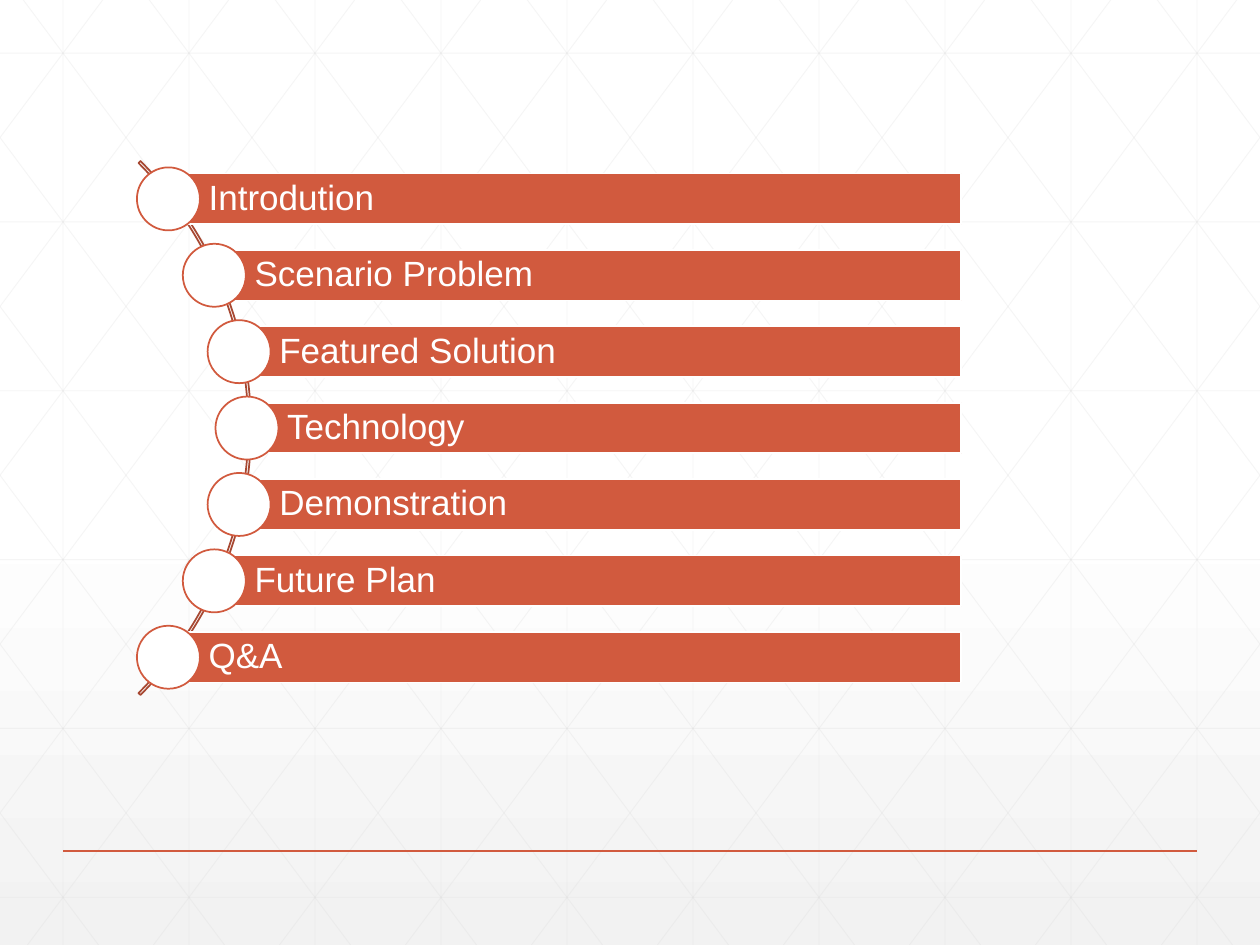
from math import sqrt

from lxml.etree import SubElement
from pptx import Presentation
from pptx.dml.color import RGBColor
from pptx.enum.shapes import MSO_CONNECTOR as Connector, MSO_SHAPE as Shape
from pptx.enum.text import MSO_ANCHOR as Anchor, PP_ALIGN as Align
from pptx.oxml.ns import qn
from pptx.util import Cm, Pt

COLORS = {
    "accent": "D15A3E",
    "arc": "A74832",
    "white": "FFFFFF",
    "shade": "F2F2F2",
    "grid": "D9D9D9",
}
WIDTH, HEIGHT = 25.4, 19.05
AGENDA = [
    "Introdution",
    "Scenario Problem",
    "Featured Solution",
    "Technology",
    "Demonstration",
    "Future Plan",
    "Q&A",
]


def color(name):
    return RGBColor.from_string(COLORS[name])


def write_text(shape, text, *, size=20, font="Arial", fill="white", left=0.81, margin=0.15):
    frame = shape.text_frame
    frame.word_wrap = True
    frame.vertical_anchor = Anchor.MIDDLE
    frame.margin_left = Cm(left)
    frame.margin_top = frame.margin_right = frame.margin_bottom = Cm(margin)
    paragraph = frame.paragraphs[0]
    paragraph.alignment = Align.LEFT
    paragraph.line_spacing = 0.9
    run = paragraph.add_run()
    run.text = text
    run.font.size = Pt(size)
    run.font.name = font
    run.font.color.rgb = color(fill)


class SlideBuilder:
    """Draws styled elements on one slide; all lengths are in centimetres."""

    line_width = 1

    def __init__(self, slide):
        self.slide = slide

    def background(self, top, bottom, start):
        """Fade downwards between two colours, beginning at the fraction start."""
        fill = self.slide.background.fill
        fill.gradient()
        fill.gradient_angle = 270
        for stop, name, position in zip(fill.gradient_stops, (top, bottom), (start, 1)):
            stop.color.rgb = color(name)
            stop.position = position

    def line(self, x1, y1, x2, y2, name, width=line_width, opacity=None):
        connector = self.slide.shapes.add_connector(
            Connector.STRAIGHT, Cm(x1), Cm(y1), Cm(x2), Cm(y2))
        connector.line.color.rgb = color(name)
        connector.line.width = Pt(width)
        properties = connector._element.spPr
        if opacity is not None:
            line_color = properties.find(".//" + qn("a:srgbClr"))
            SubElement(line_color, qn("a:alpha"), val=str(opacity * 1000))
        SubElement(properties, qn("a:effectLst"))

    def shape(self, kind, left, top, width, height, outline, fill=None):
        shape = self.slide.shapes.add_shape(kind, Cm(left), Cm(top), Cm(width), Cm(height))
        shape.shadow.inherit = False
        if fill:
            shape.fill.solid()
            shape.fill.fore_color.rgb = color(fill)
        else:
            shape.fill.background()
        shape.line.color.rgb = color(outline)
        shape.line.width = Pt(self.line_width)
        return shape

    def arc(self, center_x, center_y, radius):
        """A thin band that covers the right-hand quarter of a circle."""
        arc = self.shape(Shape.BLOCK_ARC, center_x - radius, center_y - radius,
                         2 * radius, 2 * radius, "arc")
        for index, value in enumerate((189, 27, 0.0036)):
            arc.adjustments[index] = value

    def agenda_item(self, text, x, y, right, bar_height=1.02, diameter=1.27):
        bar = self.shape(Shape.RECTANGLE, x, y - bar_height / 2, right - x, bar_height,
                         "white", "accent")
        write_text(bar, text)
        self.shape(Shape.OVAL, x - diameter / 2, y - diameter / 2, diameter, diameter,
                   "accent", "white")


def draw_grid(builder):
    step, slope = 2.54, 1.34
    style = {"name": "grid", "width": 0.5, "opacity": 25}
    for column in range(10):
        x = 1.27 + step * column
        builder.line(x, 0, x, HEIGHT, **style)
    for row in range(6):
        y = 1.07 + step * slope * row
        builder.line(0, y, WIDTH, y, **style)
    for index in range(-5, 10):
        origin = 0.47 + step * index
        x1 = max(origin, 0)
        x2 = min(origin + HEIGHT / slope, WIDTH)
        y1, y2 = ((x - origin) * slope for x in (x1, x2))
        builder.line(x1, y1, x2, y2, **style)
        builder.line(WIDTH - x1, y1, WIDTH - x2, y2, **style)


def draw_agenda(builder):
    """Place the items at equal heights along the arc."""
    center_x, center_y, radius, pitch = -2.55, 8.63, 7.53, 1.54
    builder.arc(center_x, center_y, 7.61)
    for index, text in enumerate(AGENDA):
        offset = (index - len(AGENDA) // 2) * pitch
        x = center_x + sqrt(radius ** 2 - offset ** 2)
        builder.agenda_item(text, x, center_y + offset, right=19.38)


def main():
    presentation = Presentation()
    presentation.slide_width = Cm(WIDTH)
    presentation.slide_height = Cm(HEIGHT)
    builder = SlideBuilder(presentation.slides.add_slide(presentation.slide_layouts[6]))
    builder.background("white", "shade", 0.53)
    draw_grid(builder)
    builder.line(1.27, 17.15, 24.13, 17.15, "accent")
    draw_agenda(builder)
    presentation.save("out.pptx")


if __name__ == "__main__":
    main()
